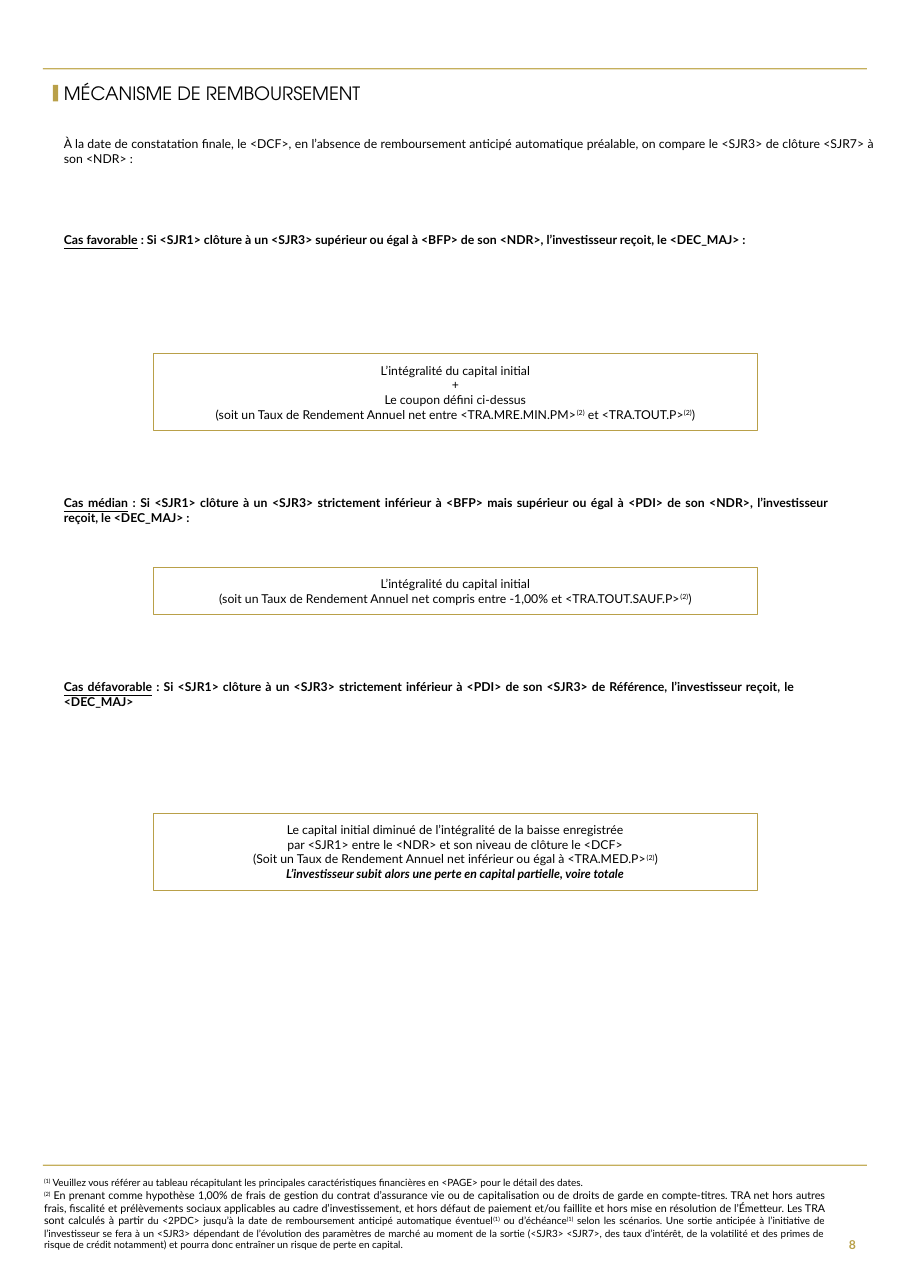
from dataclasses import dataclass

from pptx import Presentation
from pptx import util as u
from pptx.dml.color import RGBColor
from pptx.enum import shapes, text

WIDTH, HEIGHT = u.Inches(8.27), u.Inches(11.69)
GOLD, PALE_GOLD, BLACK = "B9A049", "C5AF5C", "000000"
BODY_FONT, TITLE_FONT = "Lato", "TeX Gyre Adventor"
BODY_SIZE, NOTE_SIZE = 8, 6.5
MARGIN, TEXT_LEFT, FRAME_LEFT = 4.72, 7.01, 16.81
RULE_WIDTH, FRAME_WIDTH = 90.45, 66.38


@dataclass(frozen=True)
class Area:
    """Percentages of the slide's width and height."""
    left: float
    top: float
    width: float
    height: float


@dataclass(frozen=True)
class Span:
    words: str
    size: float = BODY_SIZE
    bold: bool = False
    italic: bool = False
    underline: bool = False
    raised: bool = False
    color: str = BLACK
    font: str = BODY_FONT


Lines = list[list[Span]]


@dataclass(frozen=True)
class Block:
    area: Area
    lines: Lines


def rgb(value: str) -> RGBColor:
    return RGBColor.from_string(value)


def bounds(area: Area) -> tuple[int, int, int, int]:
    return (round(WIDTH * area.left / 100), round(HEIGHT * area.top / 100),
            round(WIDTH * area.width / 100), round(HEIGHT * area.height / 100))


def ref(number: int, size: float = BODY_SIZE) -> Span:
    return Span(f"({number})", size, raised=True)


def note(words: str, size: float = NOTE_SIZE) -> Span:
    return Span(words, size)


def case(name: str, condition: str) -> Lines:
    return [[Span(name, bold=True, underline=True), Span(condition, bold=True)]]


def write(frame, lines: Lines, align, anchor, inset: tuple[float, float], grow: bool) -> None:
    frame.word_wrap = True
    frame.auto_size = text.MSO_AUTO_SIZE.SHAPE_TO_FIT_TEXT if grow else text.MSO_AUTO_SIZE.NONE
    frame.vertical_anchor = anchor
    frame.margin_left = frame.margin_right = u.Inches(inset[0])
    frame.margin_top = frame.margin_bottom = u.Inches(inset[1])
    frame.text = "\n".join("" for _ in lines)
    for paragraph, spans in zip(frame.paragraphs, lines):
        paragraph.alignment = align
        for span in spans:
            run = paragraph.add_run()
            run.text = span.words
            run.font.name = span.font
            run.font.size = u.Pt(span.size)
            run.font.bold = span.bold
            run.font.italic = span.italic
            run.font.underline = span.underline
            run.font.color.rgb = rgb(span.color)
            if span.raised:
                run._r.get_or_add_rPr().set("baseline", "30000")


def add_text(page, block: Block) -> None:
    box = page.shapes.add_textbox(*bounds(block.area))
    write(box.text_frame, block.lines, text.PP_ALIGN.JUSTIFY, text.MSO_ANCHOR.TOP, (0, 0), True)


def add_rectangle(page, area: Area):
    box = page.shapes.add_shape(shapes.MSO_SHAPE.RECTANGLE, *bounds(area))
    box.shadow.inherit = False
    return box


def add_frame(page, block: Block) -> None:
    box = add_rectangle(page, block.area)
    box.fill.background()
    box.line.color.rgb = rgb(GOLD)
    box.line.width = u.Pt(0.5)
    write(box.text_frame, block.lines, text.PP_ALIGN.CENTER, text.MSO_ANCHOR.MIDDLE,
          (0.12, 0.08), True)


def add_bar(page, area: Area, color: str) -> None:
    bar = add_rectangle(page, area)
    bar.fill.solid()
    bar.fill.fore_color.rgb = rgb(color)
    bar.line.fill.background()


def add_title(page, words: str) -> None:
    title = page.shapes.title
    title.left, title.top, title.width, title.height = bounds(Area(TEXT_LEFT, 6.24, 50.91, 2.14))
    write(title.text_frame, [[Span(words, 12, font=TITLE_FONT)]], text.PP_ALIGN.LEFT,
          text.MSO_ANCHOR.MIDDLE, (0, 0), False)
    title.text_frame.paragraphs[0].line_spacing = 0.9


def add_page_number(page, number: int) -> None:
    box = page.shapes.add_textbox(*bounds(Area(90.45, 94.87, 4.72, 3.59)))
    write(box.text_frame, [[Span(str(number), bold=True, color=GOLD)]], text.PP_ALIGN.RIGHT,
          text.MSO_ANCHOR.MIDDLE, (0.1, 0.05), False)


FOOTNOTES: Lines = [
    [ref(1, NOTE_SIZE), note(" Veuillez vous référer au tableau récapitulant les principales "
                             "caractéristiques financières en <PAGE> pour le détail des dates.")],
    [ref(2, NOTE_SIZE),
     note(" En prenant comme hypothèse 1,00% de frais de gestion du contrat d’assurance vie ou de "
          "capitalisation ou de droits de garde en compte-titres. TRA net hors autres frais, "
          "fiscalité et prélèvements sociaux applicables au cadre d’investissement, et hors défaut "
          "de paiement et/ou faillite et hors mise en résolution de l’Émetteur. Les TRA sont "
          "calculés à partir ", 7),
     note("du <2PDC> jusqu’à la date de remboursement anticipé automatique éventuel"),
     ref(1, NOTE_SIZE), note(" ou d’échéance"), ref(1, NOTE_SIZE),
     note(" selon les scénarios. Une sortie anticipée à l’initiative de l’investisseur se fera à "
          "un <SJR3> dépendant de l’évolution des paramètres de marché au moment de la sortie "
          "(<SJR3> <SJR7>, des taux d’intérêt, de la volatilité et des primes de risque de crédit "
          "notamment) et pourra donc entraîner un risque de perte en capital.")],
]

TEXTS = [
    Block(Area(TEXT_LEFT, 10.61, 89.12, 2.31), [[Span(
        "À la date de constatation finale, le <DCF>, en l’absence de remboursement anticipé "
        "automatique préalable, on compare le <SJR3> de clôture <SJR7> à son <NDR> :")]]),
    Block(Area(TEXT_LEFT, 18.05, 80.29, 1.11), case(
        "Cas favorable", " : Si <SJR1> clôture à un <SJR3> supérieur ou égal à <BFP> de son <NDR>, "
        "l’investisseur reçoit, le <DEC_MAJ> :")),
    Block(Area(TEXT_LEFT, 38.49, 84.04, 2.31), case(
        "Cas médian", " : Si <SJR1> clôture à un <SJR3> strictement inférieur à <BFP> mais "
        "supérieur ou égal à <PDI> de son <NDR>, l’investisseur reçoit, le <DEC_MAJ> :")),
    Block(Area(TEXT_LEFT, 52.78, 80.29, 2.31), case(
        "Cas défavorable", " : Si <SJR1> clôture à un <SJR3> strictement inférieur à <PDI> de son "
        "<SJR3> de Référence, l’investisseur reçoit, le <DEC_MAJ>")),
    Block(Area(4.84, 91.36, 85.73, 5.82), FOOTNOTES),
]

FRAMES = [
    Block(Area(FRAME_LEFT, 27.46, FRAME_WIDTH, 5.99), [
        [Span("L’intégralité du capital initial")],
        [Span("+")],
        [Span("Le coupon défini ci-dessus")],
        [Span("(soit un Taux de Rendement Annuel net entre <TRA.MRE.MIN.PM>"), ref(2),
         Span(" et <TRA.TOUT.P>"), ref(2), Span(")")]]),
    Block(Area(FRAME_LEFT, 44.05, FRAME_WIDTH, 3.68), [
        [Span("L’intégralité du capital initial")],
        [Span("(soit un Taux de Rendement Annuel net compris entre -1,00% et <TRA.TOUT.SAUF.P>"),
         ref(2), Span(")")]]),
    Block(Area(FRAME_LEFT, 63.13, FRAME_WIDTH, 5.99), [
        [Span("Le capital initial diminué de l’intégralité de la baisse enregistrée")],
        [Span("par <SJR1> entre le <NDR> et son niveau de clôture le <DCF>")],
        [Span("(Soit un Taux de Rendement Annuel net inférieur ou égal à <TRA.MED.P>"), ref(2),
         Span(")")],
        [Span("L’investisseur subit alors une perte en capital partielle, voire totale",
              bold=True, italic=True)]]),
]


def main() -> None:
    deck = Presentation()
    deck.slide_width, deck.slide_height = WIDTH, HEIGHT
    page = deck.slides.add_slide(deck.slide_layouts[5])
    add_title(page, "MÉCANISME DE REMBOURSEMENT")
    add_bar(page, Area(5.8, 6.59, 0.6, 1.28), GOLD)
    for top in (5.3, 90.42):
        add_bar(page, Area(MARGIN, top, RULE_WIDTH, 0.1), PALE_GOLD)
    for block in TEXTS:
        add_text(page, block)
    for block in FRAMES:
        add_frame(page, block)
    add_page_number(page, 8)
    deck.save("out.pptx")


if __name__ == "__main__":
    main()
